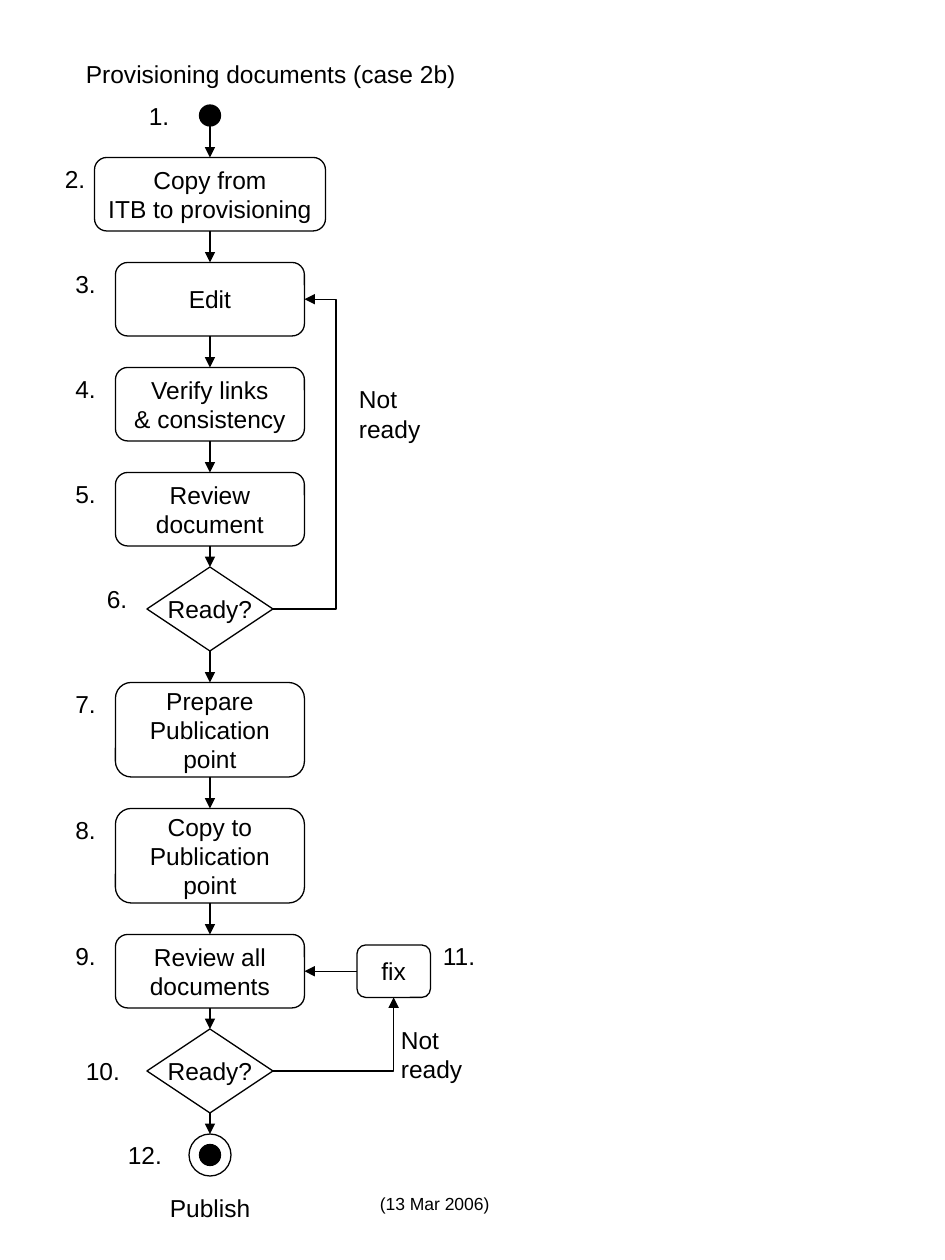
from lxml.etree import SubElement
from pptx import Presentation
from pptx.dml.color import RGBColor
from pptx.enum.shapes import MSO_CONNECTOR as Connector, MSO_SHAPE as Shape
from pptx.enum.text import MSO_ANCHOR as Anchor, MSO_AUTO_SIZE as AutoSize, PP_ALIGN as Align
from pptx.oxml.ns import qn
from pptx.util import Inches, Pt

BLACK, WHITE = "000000", "FFFFFF"
TOP, LEFT, BOTTOM, RIGHT = range(4)

# The chart sits on a grid of twelfths of an inch
CENTER = 20
START_TOP = 10

# Main column: name, shape, text, width, height, gap above
STEPS = [
    ("start", Shape.FLOWCHART_CONNECTOR, "", 2, 2, 0),
    ("copy_from", Shape.ROUNDED_RECTANGLE, "Copy from\nITB to provisioning", 22, 7, 3),
    ("edit", Shape.ROUNDED_RECTANGLE, "Edit", 18, 7, 3),
    ("verify", Shape.ROUNDED_RECTANGLE, "Verify links\n& consistency", 18, 7, 3),
    ("review", Shape.ROUNDED_RECTANGLE, "Review\ndocument", 18, 7, 3),
    ("ready", Shape.FLOWCHART_DECISION, "Ready?", 12, 8, 2),
    ("prepare", Shape.ROUNDED_RECTANGLE, "Prepare\nPublication\npoint", 18, 9, 3),
    ("copy_to", Shape.ROUNDED_RECTANGLE, "Copy to\nPublication\npoint", 18, 9, 3),
    ("review_all", Shape.ROUNDED_RECTANGLE, "Review all\ndocuments", 18, 7, 3),
    ("all_ready", Shape.FLOWCHART_DECISION, "Ready?", 12, 8, 2),
    ("end", Shape.FLOWCHART_CONNECTOR, "", 4, 4, 2),
]

# Step numbers: text, left, top on the grid
NUMBERS = [
    ("1.", 13, 9), ("2.", 5, 15), ("3.", 6, 25), ("4.", 6, 35),
    ("5.", 6, 45), ("6.", 9, 55), ("7.", 6, 65), ("8.", 6, 77),
    ("9.", 6, 89), ("10.", 7, 100), ("11.", 41, 89), ("12.", 11, 108),
]

# Captions: text, left, top on the grid, width and height in inches, point size
CAPTIONS = [
    ("Provisioning documents (case 2b)", 7, 5, 3.14, 0.34, 14),
    ("Not\nready", 33, 36, 0.69, 0.57, 14),
    ("Not ready", 37, 97, 1.04, 0.34, 14),
    ("Publish", 15, 113, 0.84, 0.34, 14),
    ("(13 Mar 2006)", 35, 113, 1.07, 0.27, 10),
]


def grid(units):
    return Inches(units / 12)


def color(value):
    return RGBColor.from_string(value)


def write(shape, text, size=14, align=Align.LEFT):
    frame = shape.text_frame
    frame.text = text
    frame.word_wrap = False
    for paragraph in frame.paragraphs:
        paragraph.alignment = align
        for run in paragraph.runs:
            run.font.name = "Arial"
            run.font.size = Pt(size)
            run.font.color.rgb = color(BLACK)


def add_node(shapes, kind, text, left, top, width, height, fill=WHITE):
    shape = shapes.add_shape(kind, grid(left), grid(top), grid(width), grid(height))
    shape.shadow.inherit = False
    shape.fill.solid()
    shape.fill.fore_color.rgb = color(fill)
    shape.line.color.rgb = color(BLACK)
    shape.line.width = Pt(0.75)
    if text:
        write(shape, text, align=Align.CENTER)
        shape.text_frame.vertical_anchor = Anchor.MIDDLE
    return shape


def add_label(text, left, top, width, height, size=14):
    box = slide.shapes.add_textbox(grid(left), grid(top), Inches(width), Inches(height))
    write(box, text, size)
    box.text_frame.auto_size = AutoSize.SHAPE_TO_FIT_TEXT


def side(shape, index):
    """Middle point of one side of a shape."""
    x = shape.left + {LEFT: 0, RIGHT: shape.width}.get(index, shape.width // 2)
    y = shape.top + {TOP: 0, BOTTOM: shape.height}.get(index, shape.height // 2)
    return x, y


def add_arrow(source, source_side, target, target_side, kind=Connector.STRAIGHT):
    arrow = slide.shapes.add_connector(
        kind, *side(source, source_side), *side(target, target_side))
    arrow.line.color.rgb = color(BLACK)
    arrow.line.width = Pt(0.75)
    properties = arrow.line._get_or_add_ln()
    SubElement(properties, qn("a:tailEnd"), type="triangle")
    SubElement(arrow._element.spPr, qn("a:effectLst"))
    if kind == Connector.STRAIGHT:
        # A circle numbers its joints differently, so its bottom stays free
        if source is not nodes["start"]:
            arrow.begin_connect(source, source_side)
        arrow.end_connect(target, target_side)
    return arrow


presentation = Presentation()
presentation.slide_width, presentation.slide_height = Inches(7.5), Inches(10)
slide = presentation.slides.add_slide(presentation.slide_layouts[6])

# Main column, with the end marker as a group of two circles
nodes = {}
top = START_TOP
for name, kind, text, width, height, gap in STEPS:
    top += gap
    shapes = slide.shapes.add_group_shape().shapes if name == "end" else slide.shapes
    nodes[name] = add_node(shapes, kind, text, CENTER - width / 2, top, width, height,
                           BLACK if name == "start" else WHITE)
    if name == "end":
        add_node(shapes, kind, "", CENTER - 1, top + 1, 2, 2, BLACK)
    top += height
nodes["fix"] = add_node(slide.shapes, Shape.ROUNDED_RECTANGLE, "fix", 34, 90, 7, 5)

# Arrows down the column and from the fix
column = [nodes[step[0]] for step in STEPS]
for upper, lower in zip(column, column[1:]):
    add_arrow(upper, BOTTOM, lower, TOP)
add_arrow(nodes["fix"], LEFT, nodes["review_all"], RIGHT)

# Loop back to Edit, bending out past the boxes
loop = add_arrow(nodes["ready"], RIGHT, nodes["edit"], RIGHT, Connector.ELBOW)
bend = loop._element.spPr.find(qn("a:prstGeom")).get_or_add_avLst()
SubElement(bend, qn("a:gd"), name="adj1", fmla="val 200000")

# Single bend up to the fix
to_fix = add_arrow(nodes["all_ready"], RIGHT, nodes["fix"], BOTTOM, Connector.ELBOW)
to_fix._element.spPr.find(qn("a:prstGeom")).set("prst", "bentConnector2")

# Numbers and captions
for text, left, top in NUMBERS:
    add_label(text, left, top, 0.36 if len(text) == 2 else 0.47, 0.34)
for caption in CAPTIONS:
    add_label(*caption)

presentation.save("out.pptx")
